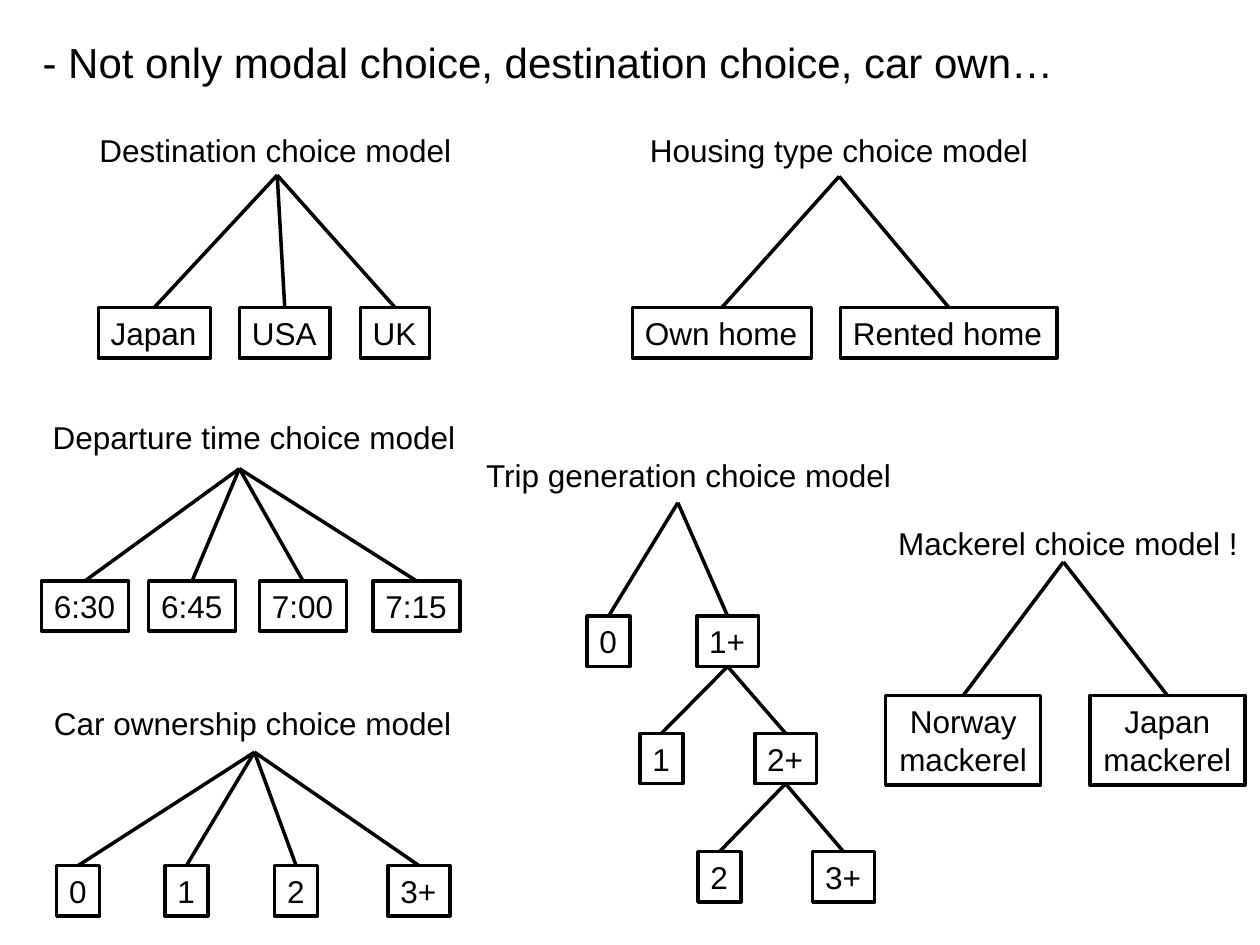
from lxml import etree
from pptx import Presentation
from pptx.dml.color import RGBColor
from pptx.enum.shapes import MSO_CONNECTOR, MSO_SHAPE
from pptx.enum.text import MSO_AUTO_SIZE, PP_ALIGN
from pptx.oxml.ns import qn
from pptx.util import Inches, Pt

STRAIGHT = MSO_CONNECTOR.STRAIGHT
RECTANGLE = MSO_SHAPE.RECTANGLE
FIT_SHAPE = MSO_AUTO_SIZE.SHAPE_TO_FIT_TEXT
LEFT, CENTER = PP_ALIGN.LEFT, PP_ALIGN.CENTER
TOP, BOTTOM = 0, 2  # connection sites of a rectangle
BLACK = "000000"


def write(s, text, size=18, wrap=False, align=LEFT):
    tf = s.text_frame
    tf.text = text
    tf.word_wrap = wrap
    tf.auto_size = FIT_SHAPE
    for p in tf.paragraphs:
        p.alignment = align
        p.font.name = "Arial"
        p.font.size = Pt(size)
        p.font.color.rgb = RGBColor.from_string(BLACK)


def style_line(s):
    s.line.color.rgb = RGBColor.from_string(BLACK)
    s.line.width = Pt(2)


prs = Presentation()
prs.slide_width, prs.slide_height = Inches(10), Inches(7.5)
shapes = prs.slides.add_slide(prs.slide_layouts[6]).shapes

heading = shapes.add_textbox(Inches(0.24), Inches(0.24), Inches(9.34), Inches(0.5))
write(heading, "- Not only modal choice, destination choice, car own…", 24, wrap=True)

# Title, its (left, top, width), apex of the tree, then the boxes:
# (text, left, top, width, index of the parent box or None for the apex)
trees = [
    ("Destination choice model", (0.69, 0.99, 3.02), (2.2, 1.39), [
        ("Japan", 0.78, 2.44, 0.89, None),
        ("USA", 1.9, 2.44, 0.72, None),
        ("UK", 2.86, 2.44, 0.55, None)]),
    ("Housing type choice model", (5.06, 0.99, 3.23), (6.66, 1.4), [
        ("Own home", 5.02, 2.44, 1.42, None),
        ("Rented home", 6.67, 2.44, 1.72, None)]),
    ("Departure time choice model", (0.32, 3.27, 3.43), (1.9, 3.72), [
        ("6:30", 0.33, 4.61, 0.69, None),
        ("6:45", 1.18, 4.61, 0.69, None),
        ("7:00", 2.06, 4.61, 0.69, None),
        ("7:15", 2.96, 4.61, 0.69, None)]),
    ("Car ownership choice model", (0.33, 5.54, 3.46), (2.02, 5.97), [
        ("0", 0.45, 6.87, 0.34, None),
        ("1", 1.31, 6.87, 0.34, None),
        ("2", 2.18, 6.87, 0.34, None),
        ("3+", 3.08, 6.87, 0.49, None)]),
    ("Trip generation choice model", (3.76, 3.57, 3.52), (5.38, 3.99), [
        ("0", 4.66, 4.89, 0.34, None),
        ("1+", 5.53, 4.89, 0.49, None),
        ("1", 5.08, 5.82, 0.34, 1),
        ("2+", 5.99, 5.82, 0.49, 1),
        ("2", 5.54, 6.76, 0.34, 3),
        ("3+", 6.45, 6.76, 0.49, 3)]),
    ("Mackerel choice model !", (7.03, 4.11, 2.92), (8.44, 4.46), [
        ("Norway\nmackerel", 7.03, 5.52, 1.23, None),
        ("Japan\nmackerel", 8.65, 5.52, 1.23, None)]),
]

for title, (left, top, width), (apex_x, apex_y), nodes in trees:
    label = shapes.add_textbox(Inches(left), Inches(top), Inches(width), Inches(0.4))
    write(label, title)

    boxes = []
    for text, left, top, width, parent in nodes:
        two_lines = "\n" in text
        box = shapes.add_shape(RECTANGLE, Inches(left), Inches(top), Inches(width),
                               Inches(0.71 if two_lines else 0.4))
        box.shadow.inherit = False
        box.fill.background()
        style_line(box)
        write(box, text, align=CENTER if two_lines else LEFT)
        boxes.append(box)

        branch = shapes.add_connector(STRAIGHT, Inches(apex_x), Inches(apex_y),
                                      Inches(left + width / 2), Inches(top))
        if parent is not None:
            branch.begin_connect(boxes[parent], BOTTOM)
        branch.end_connect(box, TOP)
        style_line(branch)
        etree.SubElement(branch.element.spPr, qn("a:effectLst"))

prs.save("out.pptx")
